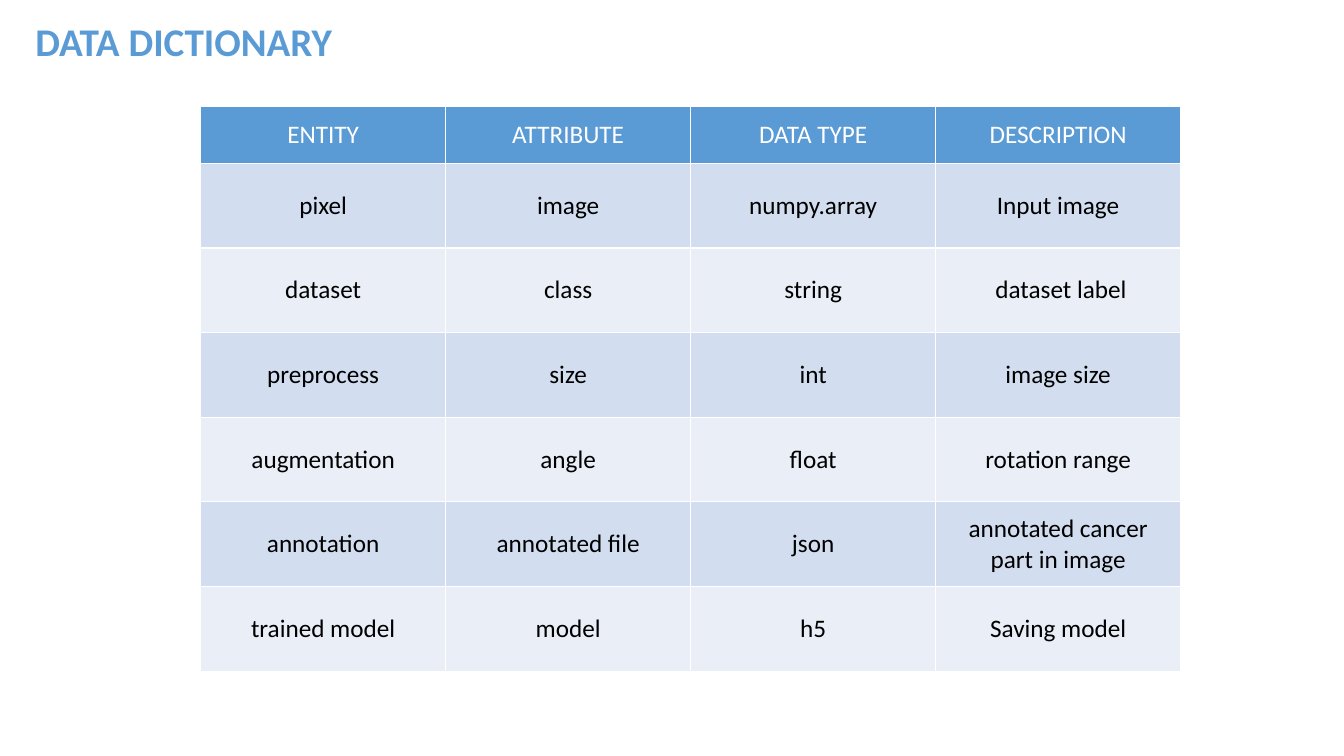
from pptx import Presentation
from pptx.dml.color import RGBColor
from pptx.enum.text import MSO_ANCHOR, PP_ALIGN
from pptx.util import Inches, Pt

BLUE = RGBColor(0x5B, 0x9B, 0xD5)
PALE = RGBColor(0xD2, 0xDE, 0xEF)
MIST = RGBColor(0xEA, 0xEF, 0xF7)
WHITE = RGBColor(0xFF, 0xFF, 0xFF)
BLACK = RGBColor(0x00, 0x00, 0x00)

COL = 2.43
ROW = 0.28
HEAD = 2
BODY = 3

ROWS = [
    ("ENTITY", "ATTRIBUTE", "DATA TYPE", "DESCRIPTION"),
    ("pixel", "image", "numpy.array", "Input image"),
    ("dataset", "class", "string", " dataset label"),
    ("preprocess", "size", "int", "image size"),
    ("augmentation", "angle", "float", "rotation range"),
    ("annotation", "annotated file", "json", "annotated cancer\npart in image"),
    ("trained model", "model", "h5", "Saving model"),
]


class Deck:
    font = "Calibri"

    def __init__(self, wide, high):
        self.prs = Presentation()
        self.prs.slide_width = Inches(wide)
        self.prs.slide_height = Inches(high)
        self.slide = self.prs.slides.add_slide(self.prs.slide_layouts[5])

    def apply(self, item, style):
        for name, value in style.items():
            setattr(item, name, value)

    def label(self, frame, text, size, color, bold, para):
        frame.text = text
        for line in frame.paragraphs:
            self.apply(line, para)
            for run in line.runs:
                self.apply(run.font, {"name": self.font, "size": Pt(size), "bold": bold})
                run.font.color.rgb = color

    def title(self, text, left, top, wide, high):
        box = self.slide.shapes.title
        self.apply(box, {"left": Inches(left), "top": Inches(top),
                         "width": Inches(wide), "height": Inches(high)})
        frame = box.text_frame
        self.apply(frame, {"word_wrap": True, "vertical_anchor": MSO_ANCHOR.TOP})
        self.label(frame, text, 28, BLUE, True,
                   {"alignment": PP_ALIGN.LEFT, "line_spacing": 0.9})

    def table(self, rows, left, top):
        spans = [HEAD] + [BODY] * (len(rows) - 1)
        count = len(rows[0])
        grid = self.slide.shapes.add_table(
            len(rows), count, Inches(left), Inches(top),
            Inches(COL * count), Inches(ROW * sum(spans))).table
        for col in grid.columns:
            col.width = Inches(COL)
        for i, (row, span) in enumerate(zip(rows, spans)):
            grid.rows[i].height = Inches(ROW * span)
            fill = (MIST if i % 2 == 0 else PALE) if i else BLUE
            for j, text in enumerate(row):
                self.cell(grid.cell(i, j), text, fill, BLACK if i else WHITE)

    def cell(self, cell, text, fill, color):
        cell.fill.solid()
        cell.fill.fore_color.rgb = fill
        cell.vertical_anchor = MSO_ANCHOR.MIDDLE
        self.label(cell.text_frame, text, 18, color, False,
                   {"alignment": PP_ALIGN.CENTER})


def main():
    deck = Deck(13.33, 7.5)
    deck.title("DATA DICTIONARY", 0.25, 0.17, 3.48, 0.6)
    deck.table(ROWS, 1.99, 1.06)
    deck.prs.save("out.pptx")


if __name__ == "__main__":
    main()
